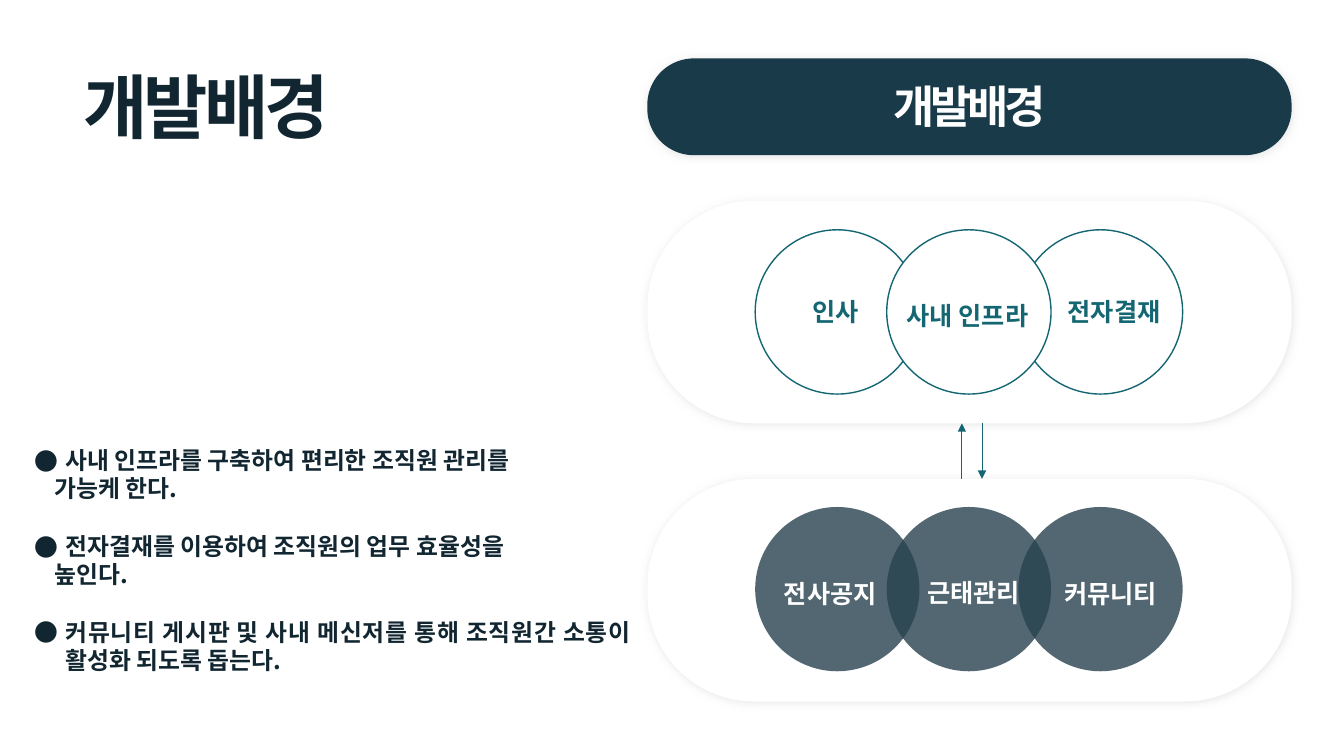
from lxml.etree import SubElement
from pptx import Presentation
from pptx.dml.color import RGBColor
from pptx.enum.shapes import MSO_CONNECTOR, MSO_SHAPE
from pptx.enum.text import MSO_ANCHOR, MSO_AUTO_SIZE, PP_ALIGN
from pptx.oxml.ns import qn
from pptx.util import Inches, Pt

FONT = "Noto Sans CJK KR"
COLORS = {"ink": "112630", "navy": "193A48", "teal": "146772",
          "slate": "27424E", "white": "FFFFFF", "shadow": "D9D9D9"}

TITLE = "개발배경"
REASONS = [
    ("사내 인프라를 구축하여 편리한 조직원 관리를", "가능케 한다."),
    ("전자결재를 이용하여 조직원의 업무 효율성을", "높인다."),
    ("커뮤니티 게시판 및 사내 메신저를 통해 조직원간 소통이 활성화 되도록 돕는다.",),
]
PILL_LEFT, PILL_WIDTH = 6.42, 6.39
HEADER = {"top": 0.58, "height": 0.96, "fill": "navy"}
GROUPS = [
    {"top": 1.99, "height": 2.21, "fill": "white", "circle_top": 2.28,
     "circle": {"fill": "white", "line": "teal"}, "text": "teal",
     "labels": [("인사", 7.72, 2.89, 1.13), ("전자결재", 10.37, 2.89, 1.36),
                ("사내 인프라", 8.77, 2.93, 1.65)]},
    {"top": 4.75, "height": 2.21, "fill": "white", "circle_top": 5.03,
     "circle": {"fill": "slate", "alpha": 80}, "text": "white",
     "labels": [("전사공지", 7.55, 5.69, 1.37), ("커뮤니티", 10.2, 5.69, 1.63),
                ("근태관리", 8.97, 5.68, 1.37)]},
]
CIRCLE_LEFT, CIRCLE_STEP, CIRCLE_SIZE = 7.49, 1.305, 1.63
DRAW_ORDER = (0, 2, 1)
ARROWS = [(9.54, 4.75, 4.2), (9.74, 4.2, 4.75)]


def color(name):
    return RGBColor.from_string(COLORS[name])


def place(shape, left, top, width, height):
    box = {"left": left, "top": top, "width": width, "height": height}
    for name, value in box.items():
        setattr(shape, name, Inches(value))


def set_frame(shape):
    settings = {"word_wrap": True, "auto_size": MSO_AUTO_SIZE.NONE,
                "vertical_anchor": MSO_ANCHOR.TOP}
    for name, value in settings.items():
        setattr(shape.text_frame, name, value)


def write(paragraph, text, size, color_name, align, spacing=None):
    paragraph.alignment = align
    run = paragraph.add_run()
    run.text = text
    for name, value in {"name": FONT, "size": Pt(size), "bold": True}.items():
        setattr(run.font, name, value)
    run.font.color.rgb = color(color_name)
    properties = run._r.get_or_add_rPr()
    SubElement(properties, qn("a:ea")).set("typeface", FONT)
    if spacing is not None:
        properties.set("spc", str(spacing * 100))


def add_label(slide, text, left, top, width, height, size, color_name, spacing=None):
    label = slide.shapes.add_textbox(*map(Inches, (left, top, width, height)))
    set_frame(label)
    write(label.text_frame.paragraphs[0], text, size, color_name, PP_ALIGN.CENTER, spacing)


def add_outline(slide, preset, box, fill, line=None, alpha=None):
    shape = slide.shapes.add_shape(preset, *map(Inches, box))
    shape.shadow.inherit = False
    shape.fill.solid()
    shape.fill.fore_color.rgb = color(fill)
    if alpha:
        fill_color = shape._element.spPr.find(qn("a:solidFill"))[0]
        SubElement(fill_color, qn("a:alpha")).set("val", str(alpha * 1000))
    if line:
        shape.line.color.rgb = color(line)
        shape.line.width = Pt(1)
    else:
        shape.line.fill.background()
    return shape


def add_pill(slide, top, height, fill):
    box = (PILL_LEFT, top, PILL_WIDTH, height)
    pill = add_outline(slide, MSO_SHAPE.ROUNDED_RECTANGLE, box, fill)
    pill.adjustments[0] = 0.48
    effects = pill._element.spPr.find(qn("a:effectLst"))
    shadow = SubElement(effects, qn("a:outerShdw"), blurRad=str(Pt(6)), dist=str(Pt(1)),
                        dir=str(45 * 60000), algn="tl", rotWithShape="0")
    shadow_color = SubElement(shadow, qn("a:srgbClr"), val=COLORS["shadow"])
    SubElement(shadow_color, qn("a:alpha"), val="60000")


def add_arrow(slide, x, start, end):
    arrow = slide.shapes.add_connector(
        MSO_CONNECTOR.STRAIGHT, *map(Inches, (x, start, x, end)))
    arrow.line.color.rgb = color("teal")
    arrow.line.width = Pt(0.5)
    SubElement(arrow.line._get_or_add_ln(), qn("a:tailEnd"), type="triangle")
    SubElement(arrow._element.spPr, qn("a:effectLst"))


def indent(paragraph, margin, first, bullet=None):
    properties = paragraph._p.get_or_add_pPr()
    properties.set("marL", str(Inches(margin)))
    properties.set("indent", str(Inches(first)))
    if bullet:
        SubElement(properties, qn("a:buFont"), typeface=FONT)
        SubElement(properties, qn("a:buChar"), char=bullet)
    else:
        SubElement(properties, qn("a:buNone"))


def fill_reasons(body):
    place(body, 0.24, 4.37, 6.12, 2.6)
    set_frame(body)
    frame = body.text_frame
    for number, lines in enumerate(REASONS):
        for position, text in enumerate(lines):
            first = number == position == 0
            paragraph = frame.paragraphs[0] if first else frame.add_paragraph()
            paragraph.space_before = Pt(20.5 if number and position == 0 else 0)
            if position == 0:
                indent(paragraph, 0.31, -0.31, "●")
            else:
                indent(paragraph, 0.2, 0)
            write(paragraph, text, 17, "ink", PP_ALIGN.JUSTIFY)


def main():
    presentation = Presentation()
    presentation.slide_width, presentation.slide_height = Inches(13.33), Inches(7.5)
    slide = presentation.slides.add_slide(presentation.slide_layouts[1])
    title, body = slide.placeholders
    place(title, 0.73, 0.58, 3.61, 0.94)
    set_frame(title)
    write(title.text_frame.paragraphs[0], TITLE, 50, "ink", PP_ALIGN.LEFT, -3)
    fill_reasons(body)

    add_pill(slide, **HEADER)
    add_label(slide, TITLE, 6.95, 0.73, 5.33, 0.64, 32, "white", -3)
    for group in GROUPS:
        add_pill(slide, group["top"], group["height"], group["fill"])
        for column in DRAW_ORDER:
            box = (CIRCLE_LEFT + column * CIRCLE_STEP, group["circle_top"],
                   CIRCLE_SIZE, CIRCLE_SIZE)
            add_outline(slide, MSO_SHAPE.OVAL, box, **group["circle"])
        for text, left, top, width in group["labels"]:
            add_label(slide, text, left, top, width, 0.4, 18, group["text"])
    for arrow in ARROWS:
        add_arrow(slide, *arrow)
    presentation.save("out.pptx")


if __name__ == "__main__":
    main()
